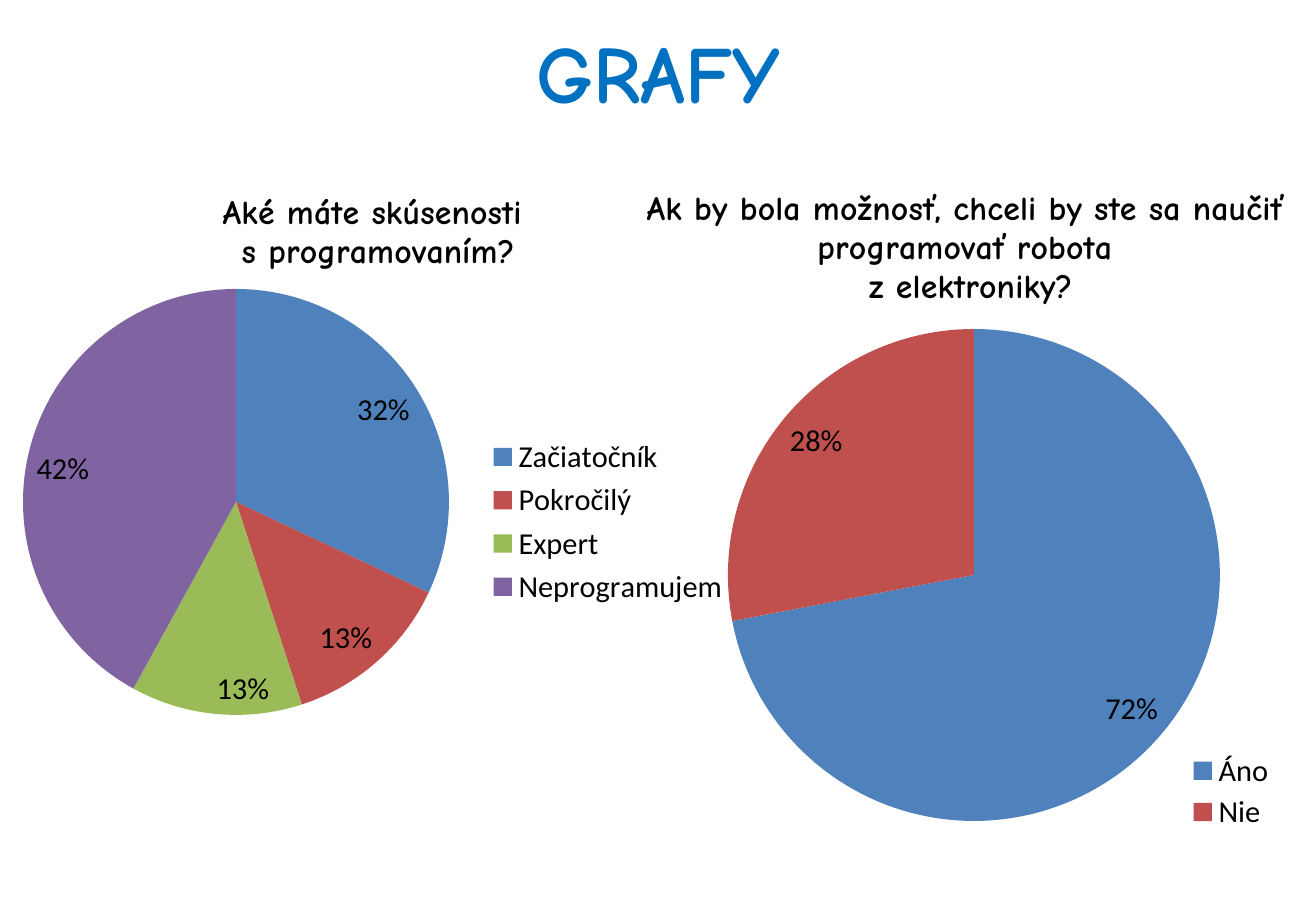
import pptx
import pptx.chart.data
import pptx.dml.color
import pptx.enum.chart
import pptx.enum.text
import pptx.oxml
import pptx.oxml.ns
import pptx.util

PX = 7526
HUES = {"head": "0070C0", "ink": "000000", "blue": "4F81BD",
        "red": "C0504D", "green": "9BBB59", "plum": "8064A2"}
SLICES = ["blue", "red", "green", "plum"]
HAND, SANS = "Comic Neue", "Calibri"


def write(para, text, size, hue, face=HAND):
    para.alignment = pptx.enum.text.PP_ALIGN.CENTER
    run = para.add_run()
    run.text = text
    run.font.size = pptx.util.Pt(size)
    run.font.name = face
    run.font.bold = True
    run.font.color.rgb = pptx.dml.color.RGBColor.from_string(HUES[hue])


def place(chart, tag, frame, box):
    """Fix a chart part at a slide box by a manual layout; the title has no size."""
    part = chart.element.find(".//" + pptx.oxml.ns.qn(tag))
    for old in part.findall(pptx.oxml.ns.qn("c:layout")):
        part.remove(old)
    left, top, wide, high = frame
    vals = {"x": (box[0] - left) / wide, "y": (box[1] - top) / high}
    if len(box) == 4:
        vals.update(w=box[2] / wide, h=box[3] / high)
    inner = '<c:layoutTarget val="inner"/>' if tag == "c:plotArea" else ""
    modes = "".join(f'<c:{k}Mode val="edge"/>' for k in "xy")
    sizes = "".join(f'<c:{k} val="{v:.4f}"/>' for k, v in vals.items())
    layout = pptx.oxml.parse_xml(
        f'<c:layout {pptx.oxml.ns.nsdecls("c")}><c:manualLayout>'
        f'{inner}{modes}{sizes}</c:manualLayout></c:layout>')
    over = part.find(pptx.oxml.ns.qn("c:overlay"))
    part.insert(0 if over is None else part.index(over), layout)


deck = pptx.Presentation()
deck.slide_width, deck.slide_height = 1316 * PX, 911 * PX
slide = deck.slides.add_slide(deck.slide_layouts[5])

title = slide.shapes.title
title.left, title.top, title.width, title.height = 0, 16 * PX, 1316 * PX, 306 * PX
title.text_frame.vertical_anchor = pptx.enum.text.MSO_ANCHOR.TOP
write(title.text_frame.paragraphs[0], "GRAFY", size=48, hue="head")

PIES = [
    {"lines": ["Aké máte skúsenosti ", "s programovaním?"],
     "data": {"Začiatočník": 32, "Pokročilý": 13, "Expert": 13, "Neprogramujem": 42},
     "frame": (-30, 163, 813, 612), "title": (219, 188),
     "plot": (23, 289, 426, 426), "legend": (488, 432, 240, 180)},
    {"lines": ["Ak by bola možnosť, chceli by ste sa naučiť ",
               "programovať robota ", "z elektroniky?"],
     "data": {"Áno": 72, "Nie": 28},
     "frame": (592, 163, 871, 676), "title": (643, 184),
     "plot": (728, 329, 492, 492), "legend": (1186, 748, 90, 87)},
]

for pie in PIES:
    data = pptx.chart.data.CategoryChartData()
    data.categories = list(pie["data"])
    data.add_series("".join(pie["lines"]), list(pie["data"].values()))
    frame = pie["frame"]
    chart = slide.shapes.add_chart(
        pptx.enum.chart.XL_CHART_TYPE.PIE, *(n * PX for n in frame), data).chart
    chart.font.size = pptx.util.Pt(18)
    chart.font.name = SANS
    chart.font.color.rgb = pptx.dml.color.RGBColor.from_string(HUES["ink"])

    chart.has_title = True
    text = chart.chart_title.text_frame
    for i, line in enumerate(pie["lines"]):
        para = text.add_paragraph() if i else text.paragraphs[0]
        write(para, line, size=20, hue="ink")
    chart.chart_title.include_in_layout = False

    chart.has_legend = True
    chart.legend.position = pptx.enum.chart.XL_LEGEND_POSITION.RIGHT
    chart.legend.include_in_layout = False

    plot = chart.plots[0]
    plot.vary_by_categories = True
    for i, hue in enumerate(SLICES[:len(pie["data"])]):
        fill = plot.series[0].points[i].format.fill
        fill.solid()
        fill.fore_color.rgb = pptx.dml.color.RGBColor.from_string(HUES[hue])
    plot.has_data_labels = True
    labels = plot.data_labels
    labels.show_percentage = True
    labels.show_value = False
    labels.number_format = "0%"
    labels.number_format_is_linked = False
    labels.position = pptx.enum.chart.XL_LABEL_POSITION.INSIDE_END

    place(chart, "c:title", frame, pie["title"])
    place(chart, "c:plotArea", frame, pie["plot"])
    place(chart, "c:legend", frame, pie["legend"])

deck.save("out.pptx")
